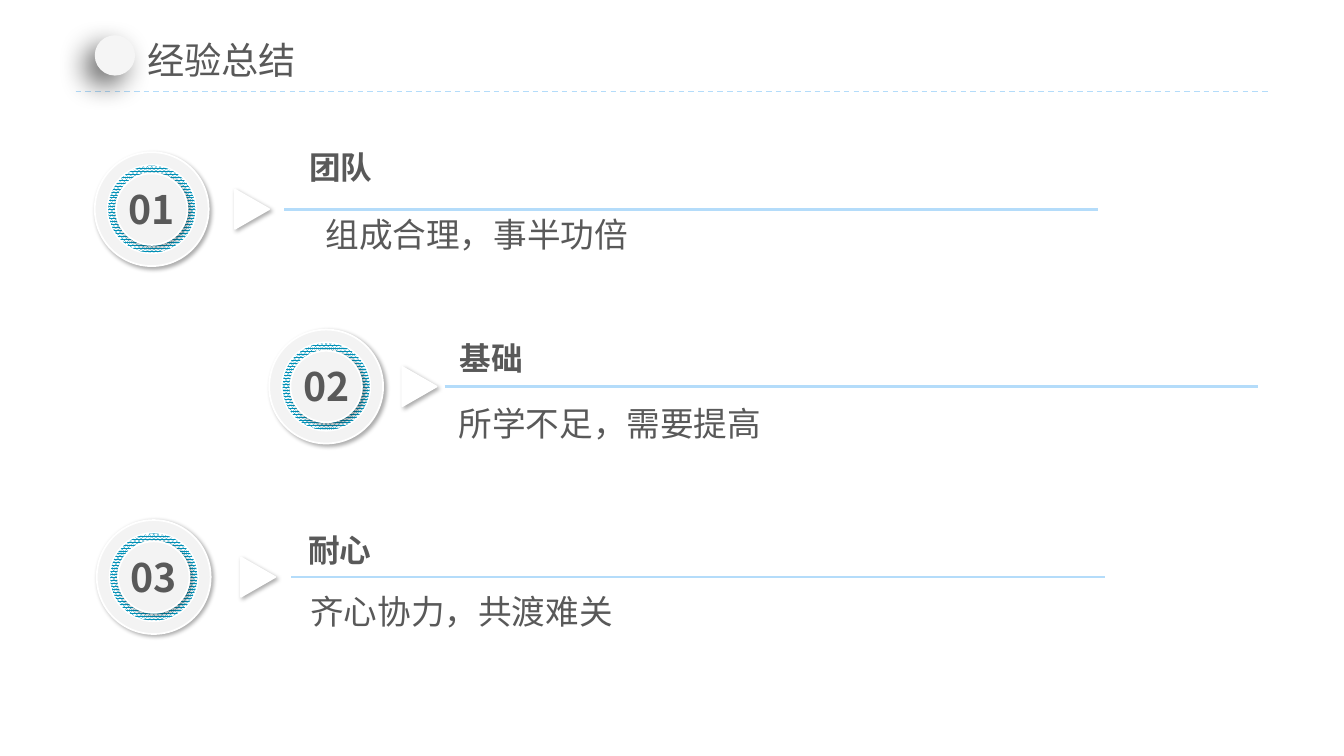
"""Build the experience summary slide: three numbered lessons beside thin rules."""
from lxml import etree
from pptx import Presentation, util as u
from pptx.dml.color import RGBColor
from pptx.enum import dml, shapes, text
from pptx.oxml.ns import qn

TITLE = "经验总结"
LESSONS = [
    dict(number="01", badge=(0.94, 1.51), arrow=2.5, rule=2.82,
         heading=("团队", 2.97, 1.42, 4.15), detail=("组成合理，事半功倍", 3.13, 2.07, 7.77)),
    dict(number="02", badge=(2.67, 3.27), arrow=4.16, rule=4.41,
         heading=("基础", 4.46, 3.31, 4.03), detail=("所学不足，需要提高", 4.45, 3.95, 7.89)),
    dict(number="03", badge=(0.96, 5.16), arrow=2.56, rule=2.89,
         heading=("耐心", 2.96, 5.22, 3.9), detail=("齐心协力，共渡难关", 2.98, 5.81, 7.77)),
]

GREY = RGBColor(0x59, 0x59, 0x59)
DOT = RGBColor(0xF5, 0xF5, 0xF5)
DISC = RGBColor(0xF3, 0xF3, 0xF3)
WHITE = RGBColor(0xFF, 0xFF, 0xFF)
TEAL = RGBColor(0x00, 0x91, 0xB8)
SKY = RGBColor(0xB4, 0xDC, 0xFA)

BADGE = 1.13
RINGS = [(BADGE, DISC, 1.25), (0.88, None, 1), (0.71, DISC, 1.25)]
ARROW_SIZE = (0.39, 0.34)
NUMBER_SIZE = (0.69, 0.57)
RULE_LENGTH = 8.07
SOFT_SHADOW = (32, 3, 2, 45)
DEEP_SHADOW = (60, 20, 10, 135)

TITLE_FORMAT = dict(size=u.Pt(26.6), bold=False, name="Noto Sans CJK JP")
NUMBER_FORMAT = dict(size=u.Pt(28), bold=True, name="Noto Sans CJK SC")
HEADING_FORMAT = dict(size=u.Pt(22.6), bold=True, name="Noto Sans CJK SC")
DETAIL_FORMAT = dict(size=u.Pt(24), bold=False, name="Noto Sans CJK SC")


def set_attributes(target, values):
    for name, value in values.items():
        setattr(target, name, value)


def inches(*lengths):
    return [u.Inches(length) for length in lengths]


def add_shadow(shape, opacity, blur, distance, angle):
    effects = shape._element.spPr.find(qn("a:effectLst"))
    shadow = etree.SubElement(effects, qn("a:outerShdw"), blurRad=str(u.Pt(blur)),
                              dist=str(u.Pt(distance)), dir=str(angle * 60000),
                              algn="ctr", rotWithShape="0")
    color = etree.SubElement(shadow, qn("a:srgbClr"), val="000000")
    etree.SubElement(color, qn("a:alpha"), val=str(opacity * 1000))


def add_centred(slide, kind, center, size, fill, line_width, shadow):
    left, top = (c - s / 2 for c, s in zip(center, size))
    shape = slide.shapes.add_shape(kind, *inches(left, top, *size))
    shape.shadow.inherit = False
    if fill is None:
        shape.fill.patterned()
        shape.fill.pattern = dml.MSO_PATTERN.PERCENT_80
        shape.fill.fore_color.rgb = TEAL
        shape.fill.back_color.rgb = WHITE
    else:
        shape.fill.solid()
        shape.fill.fore_color.rgb = fill
    if line_width:
        shape.line.color.rgb = WHITE
        shape.line.width = u.Pt(line_width)
    else:
        shape.line.fill.background()
    if shadow:
        add_shadow(shape, *shadow)
    return shape


def add_rule(slide, left, right, y, width, dash=None):
    rule = slide.shapes.add_connector(shapes.MSO_CONNECTOR.STRAIGHT, *inches(left, y, right, y))
    rule.line.color.rgb = SKY
    rule.line.width = u.Pt(width)
    if dash:
        rule.line.dash_style = dash
    etree.SubElement(rule._element.spPr, qn("a:effectLst"))


def write(box, words, font_format, alignment=text.PP_ALIGN.LEFT, wrap=True):
    frame = box.text_frame
    set_attributes(frame, dict(text=words, word_wrap=wrap,
                               auto_size=text.MSO_AUTO_SIZE.SHAPE_TO_FIT_TEXT,
                               vertical_anchor=text.MSO_ANCHOR.TOP))
    paragraph = frame.paragraphs[0]
    set_attributes(paragraph, dict(alignment=alignment, line_spacing=1.0, space_before=u.Pt(0)))
    font = paragraph.runs[0].font
    set_attributes(font, font_format)
    font.color.rgb = GREY
    east_asian = etree.SubElement(font._element, qn("a:ea"))
    east_asian.set("typeface", font_format["name"])


def add_title(slide):
    add_rule(slide, 0.75, 12.58, 0.91, 1, dml.MSO_LINE.DASH)
    add_centred(slide, shapes.MSO_SHAPE.OVAL, (1.14, 0.55), (0.4, 0.4), DOT, 0, DEEP_SHADOW)
    title = slide.shapes.title
    set_attributes(title, dict(zip(("left", "top", "width", "height"),
                                   inches(1.33, 0.3, 1.76, 0.58))))
    write(title, TITLE, TITLE_FORMAT, wrap=False)
    margin_x, margin_y = inches(0.13, 0.07)
    set_attributes(title.text_frame, dict(margin_left=margin_x, margin_right=margin_x,
                                          margin_top=margin_y, margin_bottom=margin_y))


def add_lesson(slide, lesson):
    center_x, center_y = (edge + BADGE / 2 for edge in lesson["badge"])
    for diameter, fill, line_width in RINGS:
        add_centred(slide, shapes.MSO_SHAPE.OVAL, (center_x, center_y), (diameter, diameter),
                    fill, line_width, SOFT_SHADOW if fill else None)

    width, height = NUMBER_SIZE
    number = slide.shapes.add_textbox(
        *inches(center_x - width / 2, center_y - height / 2, width, height))
    write(number, lesson["number"], NUMBER_FORMAT, text.PP_ALIGN.CENTER, wrap=False)

    arrow = add_centred(slide, shapes.MSO_SHAPE.ISOSCELES_TRIANGLE, (lesson["arrow"], center_y),
                        ARROW_SIZE, WHITE, 1.25, SOFT_SHADOW)
    arrow.rotation = 90
    add_rule(slide, lesson["rule"], lesson["rule"] + RULE_LENGTH, center_y, 0)

    for part, height, font_format in (("heading", 0.48, HEADING_FORMAT),
                                      ("detail", 0.5, DETAIL_FORMAT)):
        words, left, top, width = lesson[part]
        write(slide.shapes.add_textbox(*inches(left, top, width, height)), words, font_format)


def main():
    presentation = Presentation()
    presentation.slide_width, presentation.slide_height = inches(13.33, 7.5)
    slide = presentation.slides.add_slide(presentation.slide_layouts[5])
    add_title(slide)
    for lesson in LESSONS:
        add_lesson(slide, lesson)
    presentation.save("out.pptx")


if __name__ == "__main__":
    main()
